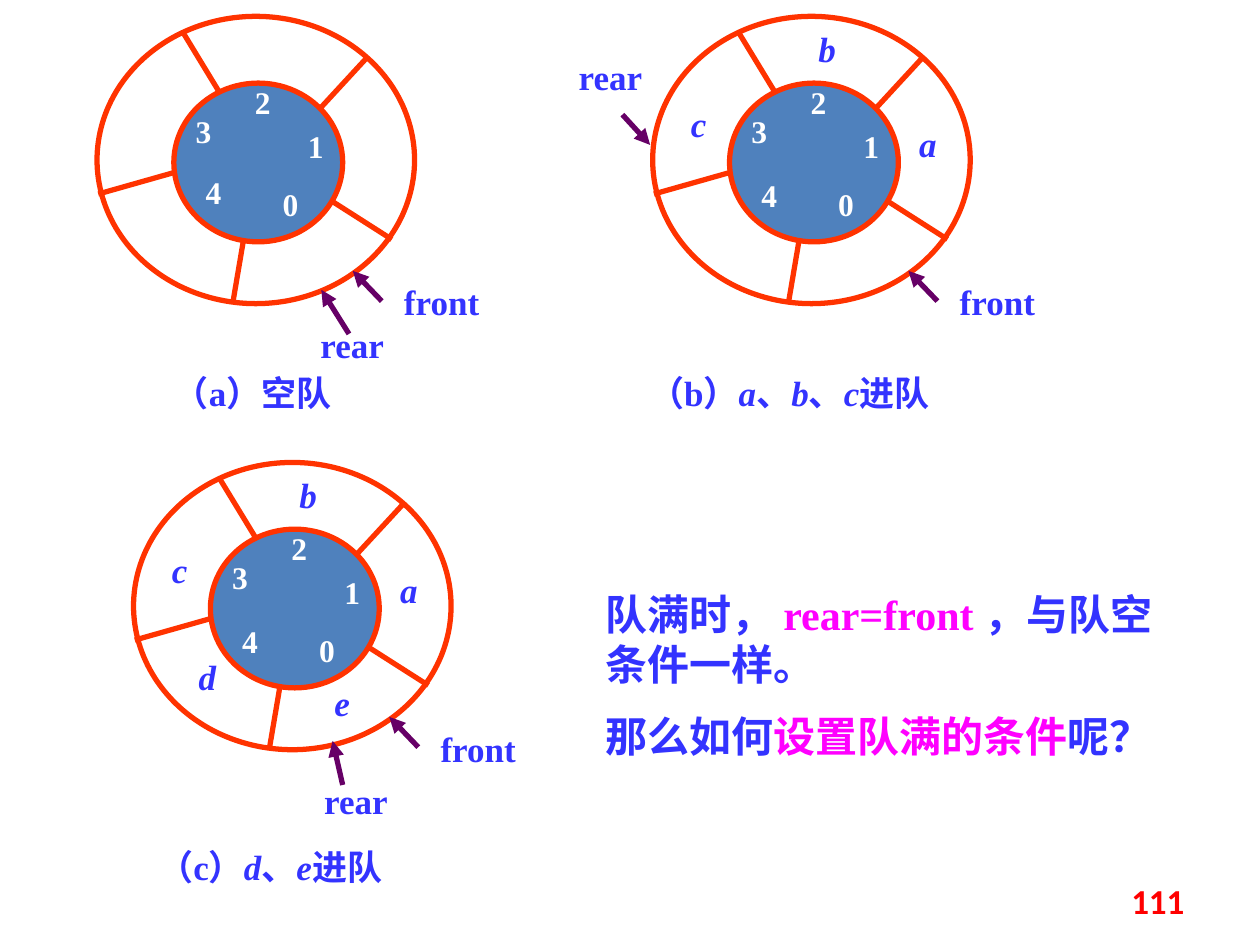
from dataclasses import dataclass

from lxml.etree import SubElement
from pptx import Presentation
from pptx.dml.color import RGBColor
from pptx.enum.shapes import MSO_CONNECTOR as Connector, MSO_SHAPE as Preset
from pptx.enum.text import MSO_ANCHOR as Anchor, PP_ALIGN as Align
from pptx.oxml.ns import qn
from pptx.util import Inches, Pt


@dataclass(frozen=True)
class Theme:
    ring: str = "FF3300"
    core: str = "4F81BD"
    arrow: str = "660066"
    ink: str = "3333FF"
    accent: str = "FF00FF"
    index: str = "FFFFFF"
    page: str = "FF0000"
    font: str = "Times New Roman"
    page_font: str = "Calibri"
    index_size: int = 18
    label_size: int = 20
    body_size: int = 24
    line_width: int = 3


THEME = Theme()
SPOKES = [
    ((1.87, 1.47), (2.34, 1.77)),
    ((1.78, 0.72), (2.14, 0.33)),
    ((0.69, 0.14), (0.97, 0.6)),
    ((1.16, 1.79), (1.08, 2.26)),
    ((0.01, 1.41), (0.61, 1.24)),
]
INDEX_PLACES = [(1.38, 1.34), (1.58, 0.88), (1.16, 0.53), (0.69, 0.76)]
ITEM_PLACES = {"a": (2.03, 0.84), "b": (1.23, 0.09), "c": (0.21, 0.68),
               "d": (0.43, 1.53), "e": (1.5, 1.74)}


def add_run(paragraph, text, size=THEME.label_size, color=THEME.ink,
            font=THEME.font, bold=True, italic=False):
    run = paragraph.add_run()
    run.text = text
    run.font.name = font
    run.font.size = Pt(size)
    run.font.bold = bold
    run.font.italic = italic
    run.font.color.rgb = RGBColor.from_string(color)


class Painter:
    def __init__(self, slide, theme):
        self.slide = slide
        self.theme = theme
        self.shapes = slide.shapes

    def start_group(self):
        self.shapes = self.slide.shapes.add_group_shape().shapes

    def end_group(self):
        self.shapes = self.slide.shapes

    def ellipse(self, left, top, width, height, fill=None):
        shape = self.shapes.add_shape(Preset.OVAL, Inches(left), Inches(top),
                                      Inches(width), Inches(height))
        shape.shadow.inherit = False
        if fill:
            shape.fill.solid()
            shape.fill.fore_color.rgb = RGBColor.from_string(fill)
        else:
            shape.fill.background()
        shape.line.color.rgb = RGBColor.from_string(self.theme.ring)
        shape.line.width = Pt(self.theme.line_width)

    def line(self, start, end, color):
        connector = self.shapes.add_connector(
            Connector.STRAIGHT, *(Inches(value) for value in (*start, *end)))
        connector.line.color.rgb = RGBColor.from_string(color)
        connector.line.width = Pt(self.theme.line_width)
        SubElement(connector._element.spPr, qn("a:effectLst"))
        return connector

    def arrow(self, start, end):
        connector = self.line(start, end, self.theme.arrow)
        outline = connector.line._get_or_add_ln()
        SubElement(outline, qn("a:tailEnd"), type="triangle")

    def text(self, left, top, width, height, paragraphs, align=Align.CENTER,
             anchor=Anchor.TOP, inset=True, gap=0):
        box = self.shapes.add_textbox(Inches(left), Inches(top),
                                      Inches(width), Inches(height))
        frame = box.text_frame
        frame.word_wrap = True
        frame.vertical_anchor = anchor
        if not inset:
            frame.margin_left = frame.margin_right = 0
            frame.margin_top = frame.margin_bottom = 0
        for number, runs in enumerate(paragraphs):
            paragraph = frame.add_paragraph() if number else frame.paragraphs[0]
            paragraph.alignment = align
            if number:
                paragraph.space_before = Pt(gap)
            for words, style in runs:
                add_run(paragraph, words, **style)

    def label(self, left, top, words, width=0.31, height=0.33, **style):
        self.text(left, top, width, height, [[(words, style)]], inset=False)

    def queue(self, x, y, items, rear_label, rear_arrow, caption,
              caption_place, caption_width, four_top=1.27):
        theme = self.theme

        def place(point):
            return x + point[0], y + point[1]

        self.start_group()
        self.ellipse(x + 0.61, y + 0.53, 1.34, 1.26, theme.core)
        self.ellipse(x, y, 2.52, 2.28)
        for start, end in SPOKES:
            self.line(place(start), place(end), theme.ring)
        for number, point in enumerate([*INDEX_PLACES, (0.77, four_top)]):
            self.label(*place(point), str(number), height=0.3,
                       size=theme.index_size, color=theme.index)
        for item in items:
            self.label(*place(ITEM_PLACES[item]), item, italic=True)
        self.arrow(place((2.26, 2.26)), place((2.03, 2.02)))
        self.label(*place((2.34, 2.1)), "front", width=0.79)
        self.arrow(*map(place, rear_arrow))
        self.label(*place(rear_label), "rear", width=0.79)
        runs = [(words, {"italic": words in ITEM_PLACES}) for words in caption]
        self.text(*place(caption_place), caption_width, 0.44, [runs])
        self.end_group()


def main():
    presentation = Presentation()
    presentation.slide_width = Inches(10)
    presentation.slide_height = Inches(7.5)
    slide = presentation.slides.add_slide(presentation.slide_layouts[6])
    painter = Painter(slide, THEME)

    page_style = {"color": THEME.page, "font": THEME.page_font}
    painter.text(7.17, 6.95, 2.33, 0.4, [[("111", page_style)]],
                 align=Align.RIGHT, anchor=Anchor.MIDDLE)

    painter.queue(1.06, 3.67, "abcde", (1.37, 2.52),
                  ((1.66, 2.56), (1.58, 2.21)),
                  ["（c）", "d", "、", "e", "进队"], (-0.65, 2.99), 3.47)
    painter.queue(0.77, 0.13, "", (1.63, 2.44),
                  ((2, 2.52), (1.78, 2.17)),
                  ["（a）空队"], (0.29, 2.77), 1.89, four_top=1.24)
    painter.queue(5.18, 0.13, "abc", (-0.73, 0.31),
                  ((-0.24, 0.78), (-0.02, 1.02)),
                  ["（b）", "a", "、", "b", "、", "c", "进队"], (-0.65, 2.77), 3.47)

    body = {"size": THEME.body_size}
    accent = {**body, "color": THEME.accent}
    painter.text(4.71, 4.62, 4.72, 1.51, [
        [("队满时，", body), (" rear=front", accent), (" ，与队空条件一样。", body)],
        [("那么如何", body), ("设置队满的条件", accent), ("呢？", body)],
    ], align=Align.LEFT, gap=12)

    presentation.save("out.pptx")


if __name__ == "__main__":
    main()
